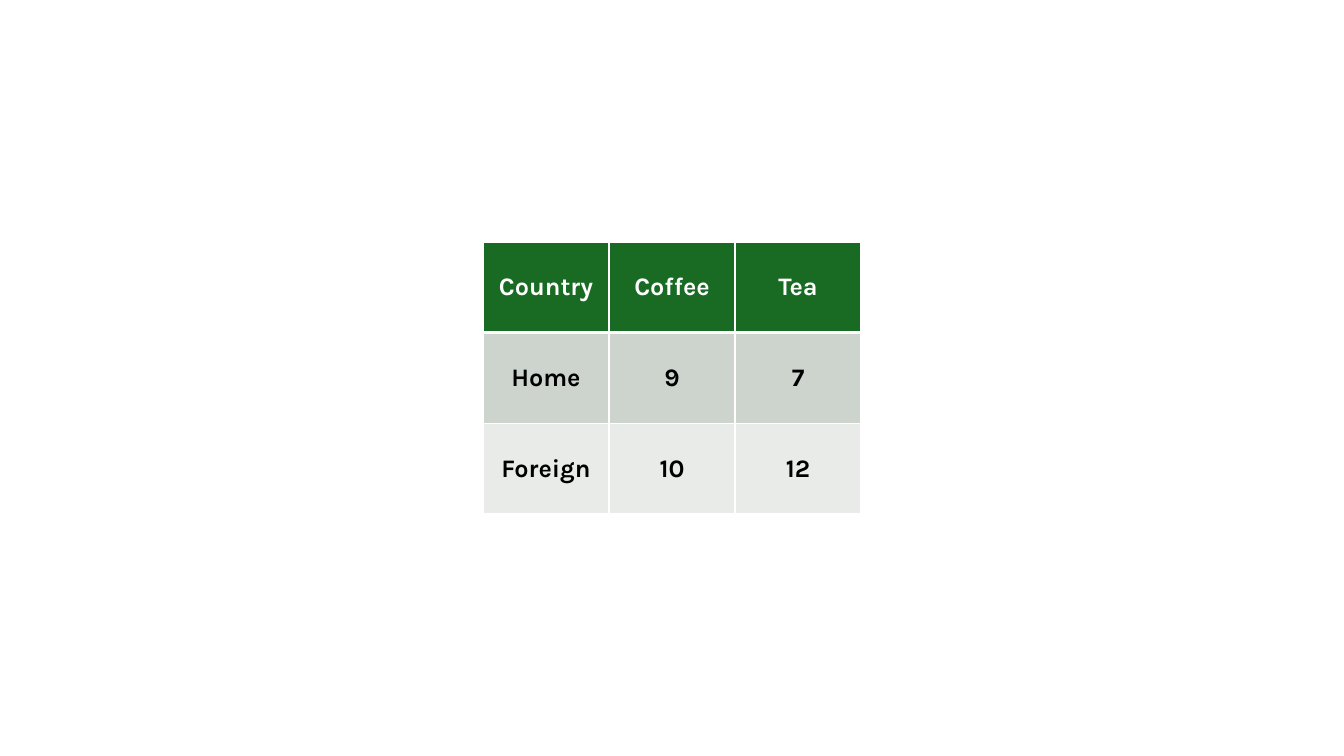
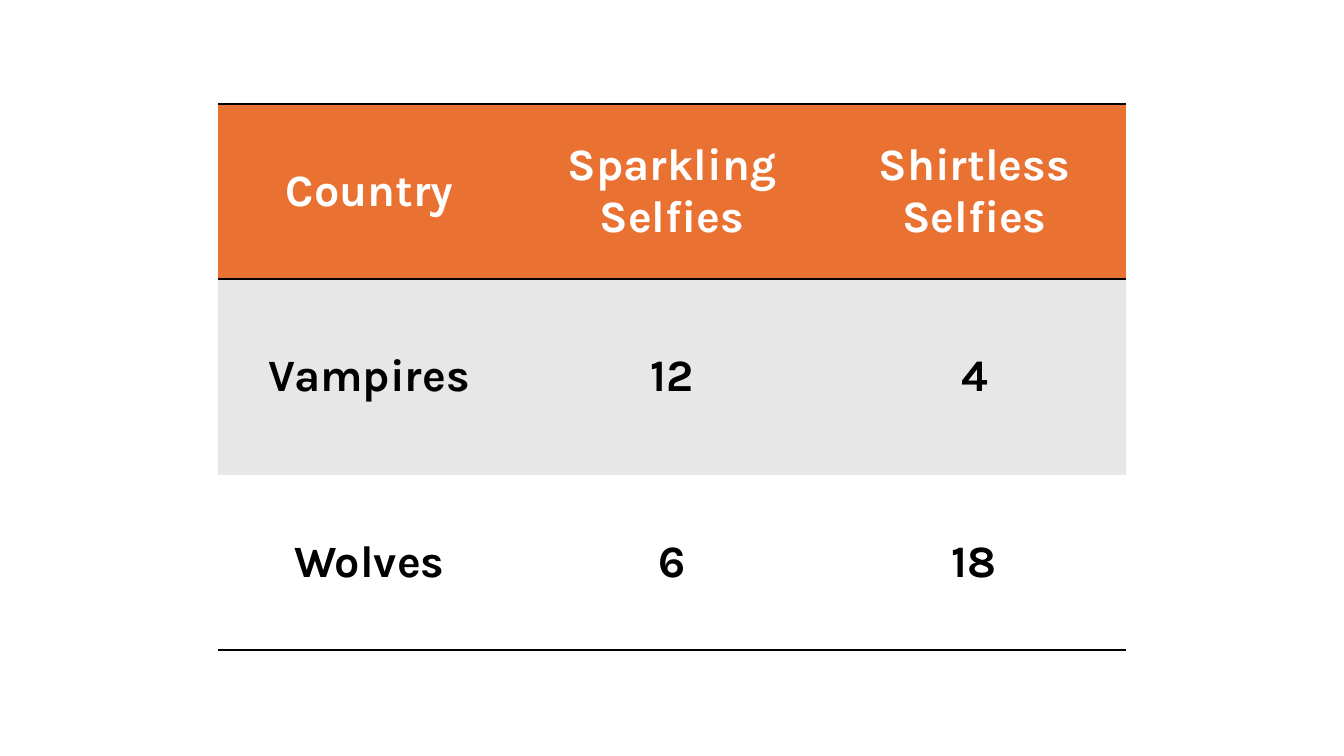
from lxml.etree import SubElement
from pptx import Presentation
from pptx.dml.color import RGBColor
from pptx.enum.text import MSO_ANCHOR, PP_ALIGN
from pptx.oxml.ns import qn
from pptx.util import Inches, Pt

SLIDE_WIDTH, SLIDE_HEIGHT = 13.33, 7.5
FONT = "Karla"
COLORS = {
    "white": "FFFFFF",
    "black": "000000",
    "green": "196B24",
    "sage": "CCD4CD",
    "mist": "E8EBE8",
    "orange": "E97132",
    "grey": "E7E7E7",
}

TABLES = [
    {
        "rows": [("Country", "Coffee", "Tea"), ("Home", "9", "7"), ("Foreign", "10", "12")],
        "fills": ("green", "sage", "mist"),
        "top": 2.4,
        "column_width": 1.25,
        "row_heights": (0.9, 0.9, 0.9),
        "text_size": 18,
        "rule_color": "white",
        "row_rules": (1, 3, 1, 1),
        "column_rule": 1,
    },
    {
        "rows": [
            ("Country", "Sparkling Selfies", "Shirtless Selfies"),
            ("Vampires", "12", "4"),
            ("Wolves", "6", "18"),
        ],
        "fills": ("orange", "grey", "white"),
        "top": 1.03,
        "column_width": 3,
        "row_heights": (1.74, 1.94, 1.74),
        "text_size": 32,
        "rule_color": "black",
        "row_rules": (2, 2, 0, 2),
        "column_rule": 0,
    },
]


def rgb(name):
    return RGBColor.from_string(COLORS[name])


def add_rule(cell, side, width, color):
    rule = SubElement(cell._tc.get_or_add_tcPr(), qn(f"a:ln{side}"), w=str(Pt(width)))
    if width:
        fill = SubElement(rule, qn("a:solidFill"))
        SubElement(fill, qn("a:srgbClr"), val=COLORS[color])
    else:
        SubElement(rule, qn("a:noFill"))


def style_cell(cell, text, fill, text_color, size):
    cell.fill.solid()
    cell.fill.fore_color.rgb = rgb(fill)
    cell.vertical_anchor = MSO_ANCHOR.MIDDLE
    cell.text = text
    paragraph = cell.text_frame.paragraphs[0]
    paragraph.alignment = PP_ALIGN.CENTER
    paragraph.font.name = FONT
    paragraph.font.size = Pt(size)
    paragraph.font.bold = True
    paragraph.font.color.rgb = rgb(text_color)


def add_count_table(slide, content):
    rows, heights = content["rows"], content["row_heights"]
    column_count = len(rows[0])
    width = column_count * content["column_width"]
    table = slide.shapes.add_table(
        len(rows), column_count,
        Inches((SLIDE_WIDTH - width) / 2), Inches(content["top"]),
        Inches(width), Inches(sum(heights)),
    ).table
    for column in table.columns:
        column.width = Inches(content["column_width"])
    for r, (labels, fill, height) in enumerate(zip(rows, content["fills"], heights)):
        table.rows[r].height = Inches(height)
        above, below = content["row_rules"][r:r + 2]
        beside = content["column_rule"]
        for c, label in enumerate(labels):
            cell = table.cell(r, c)
            for side, rule in zip("LRTB", (beside, beside, above, below)):
                add_rule(cell, side, rule, content["rule_color"])
            style_cell(cell, label, fill, "black" if r else "white", content["text_size"])


def main():
    deck = Presentation()
    deck.slide_width, deck.slide_height = Inches(SLIDE_WIDTH), Inches(SLIDE_HEIGHT)
    for content in TABLES:
        add_count_table(deck.slides.add_slide(deck.slide_layouts[6]), content)
    deck.save("out.pptx")


if __name__ == "__main__":
    main()
